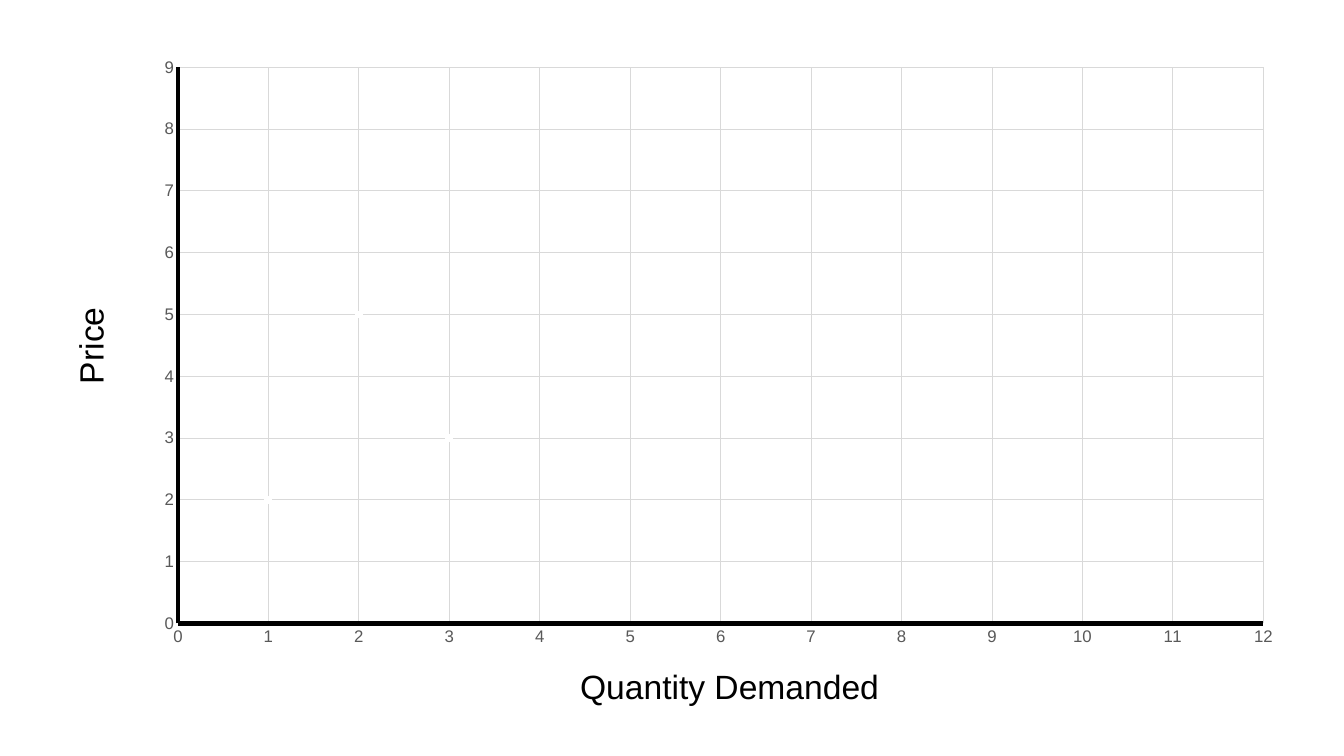
"""Build a slide with an empty demand grid: price against quantity demanded."""
from pptx import Presentation
from pptx.chart.data import XyChartData
from pptx.dml.color import RGBColor
from pptx.enum.chart import XL_CHART_TYPE as ChartType, XL_MARKER_STYLE as MarkerStyle
from pptx.enum.chart import XL_TICK_MARK as TickMark
from pptx.enum.text import MSO_ANCHOR as Anchor, PP_ALIGN as Align
from pptx.oxml import parse_xml
from pptx.oxml.ns import nsdecls, qn
from pptx.util import Inches, Pt

BLACK = RGBColor(0x00, 0x00, 0x00)
LABEL_GRAY = RGBColor(0x59, 0x59, 0x59)
GRID_GRAY = RGBColor(0xD9, 0xD9, 0xD9)
FONT = "Arial"

presentation = Presentation()
presentation.slide_width = Inches(13.33)
presentation.slide_height = Inches(7.5)
slide = presentation.slides.add_slide(presentation.slide_layouts[6])

chart_data = XyChartData()
demand = chart_data.add_series("Series 1")
for quantity, price in [(1, 2), (2, 5), (3, 3)]:
    demand.add_data_point(quantity, price)

chart = slide.shapes.add_chart(
    ChartType.XY_SCATTER, Inches(0.97), Inches(0.31), Inches(11.69), Inches(6.77), chart_data
).chart
chart.has_legend = False
chart.has_title = False
chart.font.name = FONT
chart.font.size = Pt(10)
chart.font.color.rgb = BLACK

plot = chart.plots[0]
plot.vary_by_categories = False
series = plot.series[0]
series.smooth = False
series.format.line.fill.background()
series.marker.style = MarkerStyle.CIRCLE
series.marker.size = 5
series.marker.format.fill.background()
series.marker.format.line.fill.background()

for axis, maximum in [(chart.category_axis, 12), (chart.value_axis, 9)]:
    settings = {
        "minimum_scale": 0,
        "maximum_scale": maximum,
        "major_unit": 1,
        "major_tick_mark": TickMark.NONE,
        "minor_tick_mark": TickMark.NONE,
        "has_major_gridlines": True,
        "has_title": False,
    }
    for name, value in settings.items():
        setattr(axis, name, value)
    for line, color, width in [
        (axis.format.line, BLACK, 3),
        (axis.major_gridlines.format.line, GRID_GRAY, 0.75),
    ]:
        line.color.rgb = color
        line.width = Pt(width)
    label_font = axis.tick_labels.font
    label_font.name = FONT
    label_font.size = Pt(12)
    label_font.color.rgb = LABEL_GRAY

plot_area = chart.element.find(".//" + qn("c:plotArea"))
for layout in plot_area.findall(qn("c:layout")):
    plot_area.remove(layout)
plot_area.insert(0, parse_xml(
    f'<c:layout {nsdecls("c")}><c:manualLayout><c:layoutTarget val="inner"/>'
    '<c:xMode val="edge"/><c:yMode val="edge"/><c:x val="0.068"/><c:y val="0.053"/>'
    '<c:w val="0.921"/><c:h val="0.815"/></c:manualLayout></c:layout>'
))

for text, left, top, width, rotation, wrap in [
    ("Quantity Demanded", 1.14, 6.56, 12.19, 0, True),
    ("Price", 0.41, 3.18, 0.97, 270, False),
]:
    shape = slide.shapes.add_textbox(Inches(left), Inches(top), Inches(width), Inches(0.5))
    shape.rotation = rotation
    shape.text_frame.word_wrap = wrap
    shape.text_frame.vertical_anchor = Anchor.TOP
    paragraph = shape.text_frame.paragraphs[0]
    paragraph.text = text
    paragraph.alignment = Align.CENTER
    paragraph.font.name = FONT
    paragraph.font.size = Pt(24)
    paragraph.font.color.rgb = BLACK

presentation.save("out.pptx")
